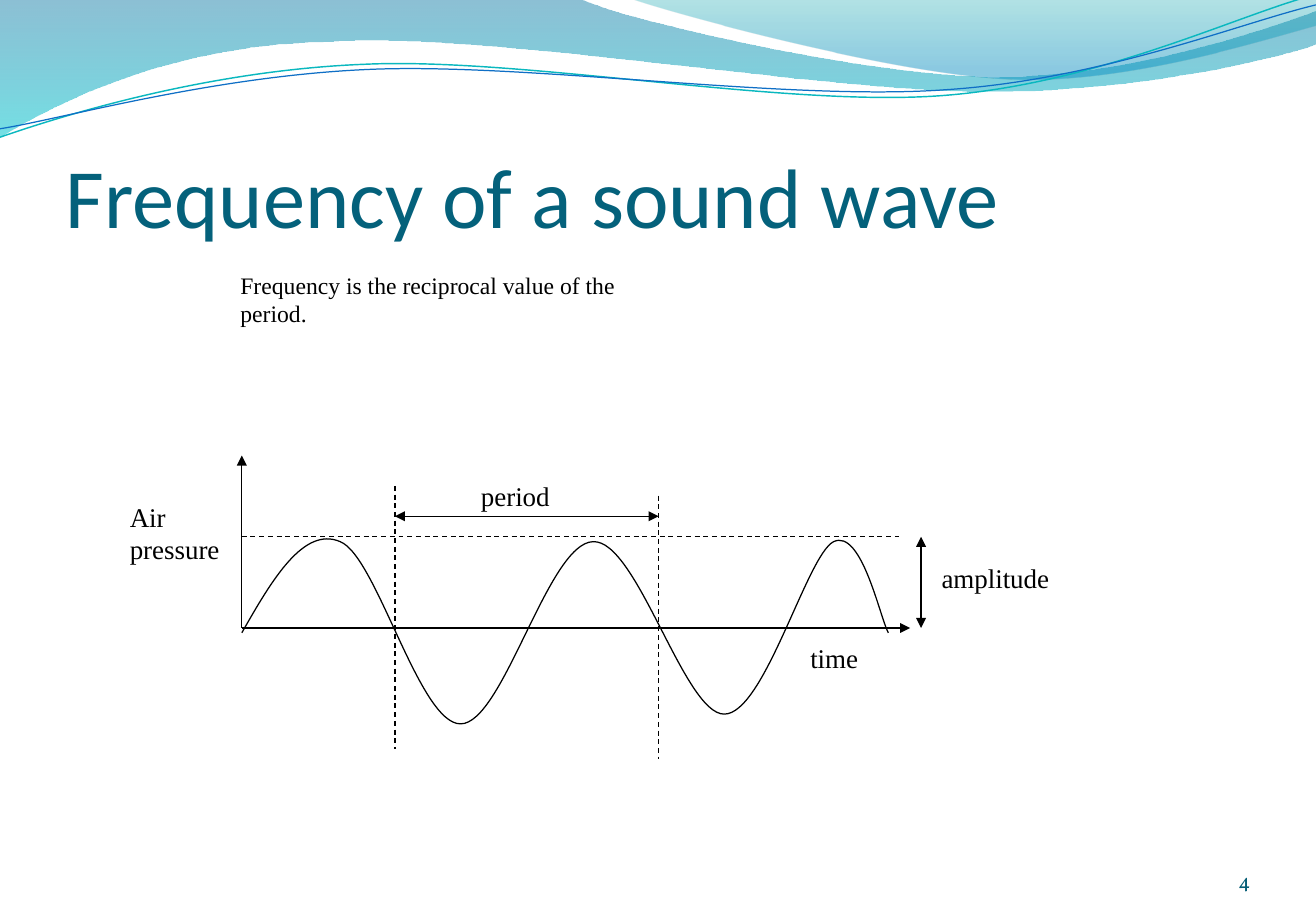
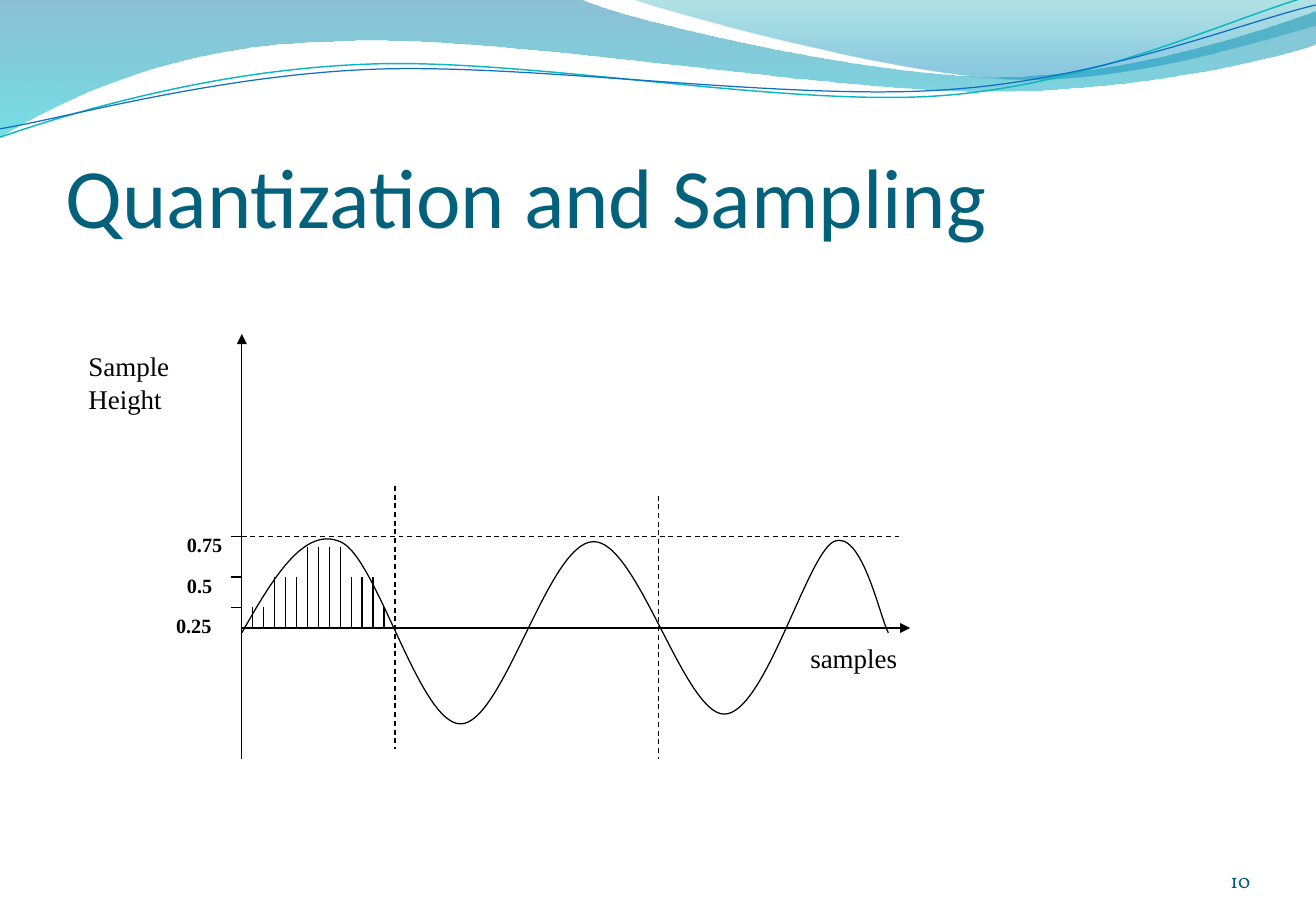
import lxml.etree
import pptx
import pptx.dml.color
import pptx.enum.dml
import pptx.enum.shapes
import pptx.enum.text
import pptx.oxml.ns
import pptx.util

Inches = pptx.util.Inches
Pt = pptx.util.Pt
RGBColor = pptx.dml.color.RGBColor
qn = pptx.oxml.ns.qn
PP_ALIGN = pptx.enum.text.PP_ALIGN
MSO_ANCHOR = pptx.enum.text.MSO_ANCHOR
MSO_AUTO_SIZE = pptx.enum.text.MSO_AUTO_SIZE

BLACK = RGBColor(0x00, 0x00, 0x00)
TITLE_TEAL = RGBColor(0x04, 0x61, 0x7B)
NUMBER_TEAL = RGBColor(0x04, 0x5D, 0x75)
WAVE_TEAL = RGBColor(0x0A, 0xB8, 0xBF)
WAVE_BLUE = RGBColor(0x0F, 0x6F, 0xC6)
BAND_TOP = RGBColor(0x00, 0x74, 0xA1)
BAND_BOTTOM = RGBColor(0x00, 0xC6, 0xCF)
CREST_TOP = RGBColor(0x00, 0xA1, 0xA9)
CREST_BOTTOM = RGBColor(0x00, 0x8B, 0xBF)

# Outlines: a pair is a straight step, six numbers are a Bezier step.
BAND = [(0, 0), (4.77, -0.01), (5.15, 0.17, 7.19, 0.63, 8.22, 0.63),
        (9.24, 0.63, 10.38, 0.26, 10.83, 0.09), (10.84, 0.36),
        (10.65, 0.44, 9.42, 0.76, 8.08, 0.75), (6.74, 0.75, 4.14, 0.28, 2.79, 0.34),
        (1.4, 0.36, 0.5, 0.83, -0.01, 1.13), (0, 0)]
CREST = [(5.19, -0.01), (5.52, 0.11, 7.39, 0.62, 8.33, 0.65),
         (9.27, 0.69, 10.42, 0.32, 10.83, 0.21), (10.83, 0), (5.19, -0.01)]
TEAL_WAVE = [(0, 1.13), (0.52, 0.95, 1.71, 0.58, 3, 0.53),
             (4.28, 0.47, 6.42, 0.88, 7.72, 0.79), (9.02, 0.7, 10.17, 0.13, 10.81, -0.04)]
BLUE_WAVE = [(0, 1.06), (0.51, 0.98, 1.77, 0.62, 3.07, 0.57),
             (4.36, 0.52, 6.47, 0.83, 7.76, 0.74), (9.06, 0.66, 10.2, 0.19, 10.83, 0.04)]
SOUND_WAVE = [(1.99, 5.21), (2.24, 4.77, 2.5, 4.33, 2.8, 4.46),
              (3.1, 4.58, 3.45, 5.96, 3.79, 5.96), (4.14, 5.96, 4.51, 4.47, 4.88, 4.46),
              (5.24, 4.44, 5.63, 5.88, 5.96, 5.88), (6.29, 5.88, 6.64, 4.57, 6.86, 4.46),
              (7.09, 4.35, 7.24, 5.08, 7.31, 5.21)]

# Diagram geometry in inches
ORIGIN_X, BASE_Y, PEAK_Y = 1.99, 5.17, 4.42
PERIOD_START, PERIOD_END = 3.25, 5.42
SAMPLE_GAP = 0.09
SAMPLE_TOPS = [5] * 2 + [4.75] * 3 + [4.5] * 4 + [4.75] * 3 + [5]

TIMES = {"name": "Times New Roman", "size": Pt(16), "color": BLACK, "bold": False}
SMALL = {**TIMES, "size": Pt(14)}
LEVEL = {**TIMES, "size": Pt(12), "bold": True}

# Lines: x1, y1, x2, y2, arrowheads. Labels: text, left, top, width, height, font.
SLIDES = [
    {
        "title": "Frequency of a sound wave", "number": "4",
        "lines": [
            (ORIGIN_X, 3.75, ORIGIN_X, BASE_Y, ["headEnd"]),
            (PERIOD_START, 4.25, PERIOD_END, 4.25, ["headEnd", "tailEnd"]),
            (7.58, PEAK_Y, 7.58, BASE_Y, ["headEnd", "tailEnd"]),
        ],
        "labels": [
            ("period", 3.86, 3.9, 0.77, 0.37, TIMES),
            ("amplitude", 7.65, 4.57, 1.09, 0.37, TIMES),
            ("time", 6.57, 5.23, 0.6, 0.37, TIMES),
            ("Air\npressure", 0.97, 4.07, 0.94, 0.64, TIMES),
            ("Frequency is the reciprocal value of the period.", 1.88, 2.18, 3.8, 0.33, SMALL),
        ],
    },
    {
        "title": "Quantization and Sampling", "number": "10",
        "lines": [(ORIGIN_X, 2.75, ORIGIN_X, 6.25, ["headEnd"])]
        + [(ORIGIN_X + SAMPLE_GAP * i, top, ORIGIN_X + SAMPLE_GAP * i, BASE_Y, [])
           for i, top in enumerate(SAMPLE_TOPS, 1)]
        + [(ORIGIN_X, level, ORIGIN_X - SAMPLE_GAP, level, []) for level in (5, 4.75, PEAK_Y)],
        "labels": [
            ("samples", 6.57, 5.23, 0.92, 0.37, TIMES),
            ("Sample\nHeight", 0.63, 2.83, 0.87, 0.64, TIMES),
            ("0.75", 1.44, 4.33, 0.53, 0.3, LEVEL),
            ("0.5", 1.44, 4.67, 0.41, 0.3, LEVEL),
            ("0.25", 1.35, 5, 0.49, 0.3, LEVEL),
        ],
    },
]


def draw_outline(slide, outline, close=False, color=None, width=0.75):
    """Draw straight and Bezier steps, stroked when a color is given."""
    start, *rest = [(Inches(step[i]), Inches(step[i + 1]))
                    for step in outline for i in range(0, len(step), 2)]
    builder = slide.shapes.build_freeform(*start)
    builder.add_line_segments(rest, close=close)
    curve = builder.convert_to_shape()
    # Fold the three nodes of each Bezier step into one curve segment
    segments = iter(list(curve.element.iter(qn("a:lnTo"))))
    for step in outline[1:]:
        segment = next(segments)
        if len(step) == 6:
            bezier = lxml.etree.Element(qn("a:cubicBezTo"))
            segment.addprevious(bezier)
            for node in (segment, next(segments), next(segments)):
                bezier.append(node[0])
                node.getparent().remove(node)
    curve.shadow.inherit = False
    if color is None:
        curve.line.fill.background()
    else:
        curve.fill.background()
        curve.line.color.rgb = color
        curve.line.width = Pt(width)
    return curve


def draw_line(slide, x1, y1, x2, y2, arrowheads=(), dashed=False):
    connector = slide.shapes.add_connector(
        pptx.enum.shapes.MSO_CONNECTOR.STRAIGHT, Inches(x1), Inches(y1), Inches(x2), Inches(y2))
    connector.line.color.rgb = BLACK
    connector.line.width = Pt(0.75)
    if dashed:
        connector.line.dash_style = pptx.enum.dml.MSO_LINE.DASH
    properties = connector.element.spPr
    for end in arrowheads:
        lxml.etree.SubElement(properties.find(qn("a:ln")), qn("a:" + end), type="triangle")
    lxml.etree.SubElement(properties, qn("a:effectLst"))


deck = pptx.Presentation()
deck.slide_width, deck.slide_height = Inches(10.83), Inches(7.5)
title_only = deck.slide_layouts[5]

for content in SLIDES:
    slide = deck.slides.add_slide(title_only)

    # Wavy header: stops are position, color, opacity in percent
    for outline, stops in (
        (BAND, [(0, BAND_TOP, 45), (1, BAND_BOTTOM, 55)]),
        (CREST, [(0, CREST_TOP, 30), (0.8, CREST_BOTTOM, 45)]),
    ):
        ribbon = draw_outline(slide, outline, close=True)
        ribbon.fill.gradient()
        ribbon.fill.gradient_angle = 270
        for stop, (position, color, _) in zip(ribbon.fill.gradient_stops, stops):
            stop.position = position
            stop.color.rgb = color
        gradient = ribbon.element.spPr.find(qn("a:gradFill"))
        for color_node, (_, _, opacity) in zip(gradient.iter(qn("a:srgbClr")), stops):
            lxml.etree.SubElement(color_node, qn("a:alpha"), val=str(opacity * 1000))
    draw_outline(slide, TEAL_WAVE, color=WAVE_TEAL, width=0.85)
    draw_outline(slide, BLUE_WAVE, color=WAVE_BLUE)

    # Title, in front of the header
    title = slide.shapes.title
    title.element.getparent().append(title.element)
    title.left, title.top, title.width, title.height = map(Inches, (0.54, 0.77, 9.84, 1.25))
    heading = title.text_frame
    heading.text = content["title"]
    for name, value in {"margin_left": 0, "margin_right": 0, "margin_top": Inches(0.05),
                        "margin_bottom": 0, "word_wrap": True,
                        "auto_size": MSO_AUTO_SIZE.NONE,
                        "vertical_anchor": MSO_ANCHOR.BOTTOM}.items():
        setattr(heading, name, value)
    heading.paragraphs[0].alignment = PP_ALIGN.LEFT
    heading_font = heading.paragraphs[0].runs[0].font
    heading_font.name, heading_font.size = "Calibri", Pt(50)
    heading_font.color.rgb = TITLE_TEAL

    # Slide number
    number = slide.shapes.add_textbox(*map(Inches, (9.39, 6.95, 0.9, 0.4))).text_frame
    number.text = content["number"]
    for name, value in {"margin_left": 0, "margin_right": 0, "margin_top": 0,
                        "margin_bottom": 0, "word_wrap": True,
                        "vertical_anchor": MSO_ANCHOR.BOTTOM}.items():
        setattr(number, name, value)
    number.paragraphs[0].alignment = PP_ALIGN.RIGHT
    number_font = number.paragraphs[0].runs[0].font
    number_font.name, number_font.size = "Vollkorn", Pt(12)
    number_font.color.rgb = NUMBER_TEAL

    # Diagram
    draw_line(slide, ORIGIN_X, BASE_Y, 7.49, BASE_Y, ["tailEnd"])
    draw_outline(slide, SOUND_WAVE, color=BLACK)
    for guide in ((PERIOD_END, 4.08, PERIOD_END, 6.25), (PERIOD_START, 4, PERIOD_START, 6.17),
                  (ORIGIN_X, PEAK_Y, 7.4, PEAK_Y)):
        draw_line(slide, *guide, dashed=True)
    for line in content["lines"]:
        draw_line(slide, *line)

    # Labels
    for text, left, top, width, height, font in content["labels"]:
        label = slide.shapes.add_textbox(*map(Inches, (left, top, width, height))).text_frame
        label.word_wrap = font is SMALL
        label.auto_size = MSO_AUTO_SIZE.SHAPE_TO_FIT_TEXT
        label.text = text
        for paragraph in label.paragraphs:
            label_font = paragraph.runs[0].font
            label_font.color.rgb = font["color"]
            for name in ("name", "size", "bold"):
                setattr(label_font, name, font[name])

deck.save("out.pptx")
